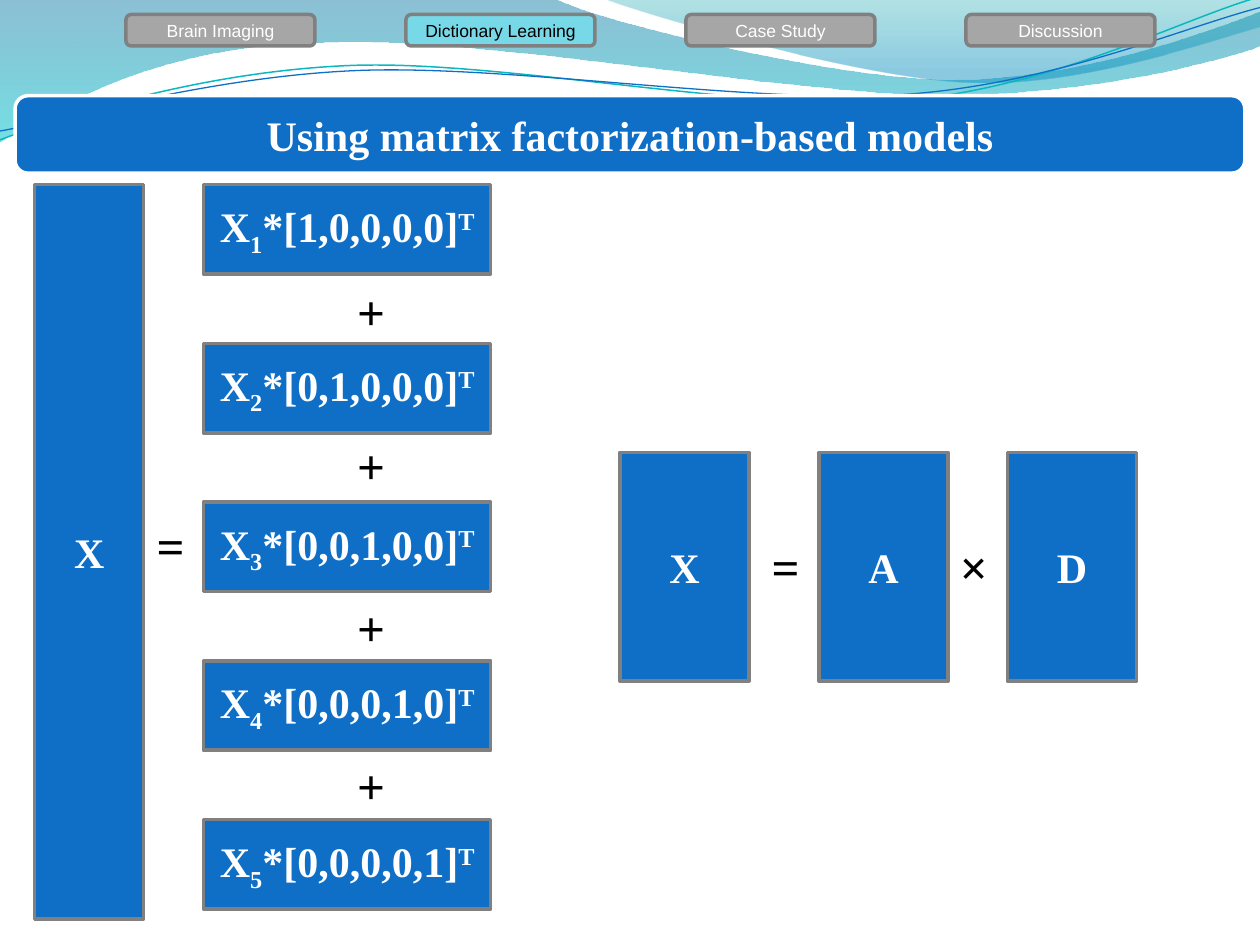
import math
from dataclasses import dataclass

from lxml import etree
from pptx import Presentation, util as u
from pptx.dml.color import RGBColor
from pptx.enum import shapes, text
from pptx.oxml.ns import qn

COLUMNS, ROWS = 100, 75
UNIT = u.Inches(10) / COLUMNS  # one square grid cell


@dataclass(frozen=True)
class Theme:
    blue: str = "0F6FC6"
    teal: str = "0AB8BF"
    active: str = "77D9E8"
    inactive: str = "A6A6A6"
    border: str = "808080"
    white: str = "FFFFFF"
    black: str = "000000"
    serif: str = "Times New Roman"
    sans: str = "Arial"
    tab_size: int = 10
    body_size: int = 24
    operator_size: int = 28
    border_width: int = 2


@dataclass(frozen=True)
class Box:
    """Left, top, width and height in grid cells."""
    left: float
    top: float
    width: float
    height: float

    def inner(self, left, top, width, height):
        return Box(self.left + left, self.top + top, width, height)

    def emu(self):
        return [round(v * UNIT) for v in (self.left, self.top, self.width, self.height)]


THEME = Theme()


def rgb(value):
    return RGBColor.from_string(value)


def add_runs(paragraph, runs, size, font, color, bold):
    """Each run is a text and its baseline shift in percent."""
    for words, baseline in runs:
        run = paragraph.add_run()
        run.text = words
        run.font.size = u.Pt(size)
        run.font.name = font
        run.font.bold = bold
        run.font.color.rgb = rgb(color)
        if baseline:
            run.font._element.set("baseline", str(baseline * 1000))


def add_block(slide, box, runs, kind=shapes.MSO_SHAPE.RECTANGLE, fill=THEME.blue,
              border=THEME.border, size=THEME.body_size, font=THEME.serif,
              color=THEME.white, bold=True, inset=0.05):
    shape = slide.shapes.add_shape(kind, *box.emu())
    shape.shadow.inherit = False
    shape.fill.solid()
    shape.fill.fore_color.rgb = rgb(fill)
    shape.line.color.rgb = rgb(border)
    shape.line.width = u.Pt(THEME.border_width)
    frame = shape.text_frame
    frame.word_wrap = True
    frame.vertical_anchor = text.MSO_ANCHOR.MIDDLE
    frame.margin_left = frame.margin_right = u.Inches(inset)
    frame.margin_top = frame.margin_bottom = u.Inches(0.05)
    paragraph = frame.paragraphs[0]
    paragraph.alignment = text.PP_ALIGN.CENTER
    add_runs(paragraph, runs, size, font, color, bold)


def add_operator(slide, center_x, center_y, symbol):
    box = Box(center_x - 1.9, center_y - 2.85, 3.8, 5.7)
    frame = slide.shapes.add_textbox(*box.emu()).text_frame
    frame.word_wrap = False
    frame.auto_size = text.MSO_AUTO_SIZE.SHAPE_TO_FIT_TEXT
    add_runs(frame.paragraphs[0], [(symbol, 0)], THEME.operator_size,
             THEME.serif, THEME.black, True)


def add_outline(slide, box, start, segments, close):
    """Segments are a corner (x, y) or a cubic curve (two controls and an end)."""
    points = [start] + [pair for s in segments for pair in zip(s[::2], s[1::2])]
    places = [(round((box.left + x) * UNIT), round((box.top + y) * UNIT)) for x, y in points]
    builder = slide.shapes.build_freeform(*places[0])
    builder.add_line_segments(places[1:], close=close)
    shape = builder.convert_to_shape()
    shape.shadow.inherit = False
    lines = iter(list(shape._element.iter(qn("a:lnTo"))))
    for segment in segments:
        first = next(lines)
        if len(segment) == 6:
            first.tag = qn("a:cubicBezTo")
            for line in (next(lines), next(lines)):
                first.append(line[0])
                line.getparent().remove(line)
    return shape


def add_wave(slide, box, start, segments, stops):
    """Fill downwards through two stops of position, colour and opacity in percent."""
    shape = add_outline(slide, box, start, segments, True)
    shape.line.fill.background()
    shape.fill.gradient()
    shape.fill.gradient_angle = 270
    for stop, (position, color, _) in zip(shape.fill.gradient_stops, stops):
        stop.position = position
        stop.color.rgb = rgb(color)
    for node, (_, _, opacity) in zip(shape._element.iter(qn("a:srgbClr")), stops):
        etree.SubElement(node, qn("a:alpha")).set("val", str(opacity * 1000))


def add_strand(slide, box, start, segments, center, color, width, tilt=-2.7):
    """Lay the curve level about its center, then tilt the whole shape."""
    cosine, sine = math.cos(math.radians(-tilt)), math.sin(math.radians(-tilt))

    def level(pairs):
        flat = []
        for x, y in zip(pairs[::2], pairs[1::2]):
            dx, dy = x - center[0], y - center[1]
            flat += [center[0] + dx * cosine - dy * sine,
                     center[1] + dx * sine + dy * cosine]
        return flat

    shape = add_outline(slide, box, level(start), [level(s) for s in segments], False)
    shape.rotation = tilt
    shape.fill.background()
    shape.line.color.rgb = rgb(color)
    shape.line.width = u.Pt(width)


def add_waves(slide, box):
    add_wave(slide, box, (0, -0.1), [
        (44, -0.1), (47.6, 1.7, 66.4, 6.3, 75.8, 6.3),
        (85.3, 6.3, 95.8, 2.6, 100, 0.9), (100.1, 3.6),
        (98.3, 4.4, 87, 7.6, 74.6, 7.5), (62.2, 7.5, 38.2, 2.8, 25.7, 3.4),
        (12.9, 3.5, 4.6, 8.3, -0.1, 11.3)], [(0, "0074A1", 45), (1, "00C6CF", 55)])
    add_wave(slide, box, (47.9, -0.1), [
        (50.9, 1.1, 68.2, 6.2, 76.9, 6.5), (85.6, 6.9, 96.1, 3.2, 100, 2.1), (100, 0)],
        [(0, "00A1A9", 30), (0.8, "008BBF", 45)])
    add_strand(slide, box, (0, 11.1), [
        (4.8, 9.3, 15.8, 5.7, 27.7, 5.2), (39.5, 4.7, 59.3, 8.9, 71.3, 8),
        (83.3, 7.1, 93.8, 1.5, 99.8, -0.2)], (49.9, 5.75), THEME.teal, 0.85)
    add_strand(slide, box, (0, 10.4), [
        (4.7, 9.6, 16.4, 6.1, 28.3, 5.6), (40.3, 5.1, 59.7, 8.3, 71.7, 7.5),
        (83.6, 6.7, 94.1, 2.1, 100, 0.6)], (49.95, 5.9), THEME.blue, 0.75)


def add_tabs(slide, box, names, active):
    tab_width = 15
    pitch = (box.width - tab_width) / (len(names) - 1)
    for name in sorted(names, key=lambda name: name != active):
        chosen = name == active
        tab = box.inner(names.index(name) * pitch, 0, tab_width, box.height)
        add_block(slide, tab, [(name, 0)],
                  kind=shapes.MSO_SHAPE.ROUNDED_RECTANGLE,
                  fill=THEME.active if chosen else THEME.inactive,
                  color=THEME.black if chosen else THEME.white,
                  size=THEME.tab_size, font=THEME.sans, bold=False, inset=0.1)


def add_title(slide, box, words):
    add_block(slide, box, [(words, 0)], kind=shapes.MSO_SHAPE.ROUNDED_RECTANGLE,
              border=THEME.white, inset=0.1)


def add_sum(slide, box, count, plus_rows):
    """X as a stack of terms, each the product with one unit vector."""
    add_block(slide, box.inner(0, 0, 8.65, box.height), [("X", 0)])
    add_operator(slide, box.left + 10.6, box.top + 28.6, "=")
    for index in range(count):
        vector = ",".join("1" if place == index else "0" for place in range(count))
        add_block(slide, box.inner(13.4, index * 12.6, 22.8, 7.1),
                  [("X", 0), (str(index + 1), -25), (f"*[{vector}]", 0), ("T", 30)])
    for row in plus_rows:
        add_operator(slide, box.left + 26.5, box.top + row, "+")


def add_product(slide, box):
    middle = box.top + box.height / 2
    for name, left, symbol, center in (("X", 0, "=", 12.95), ("A", 15.8, None, None),
                                       ("D", 30.75, "×", 27.9)):
        add_block(slide, box.inner(left, 0, 10.25, box.height), [(name, 0)])
        if symbol:
            add_operator(slide, box.left + center, middle - 0.05, symbol)


def main():
    presentation = Presentation()
    presentation.slide_width = round(COLUMNS * UNIT)
    presentation.slide_height = round(ROWS * UNIT)
    slide = presentation.slides.add_slide(presentation.slide_layouts[6])
    add_waves(slide, Box(0, 0, COLUMNS, 11.3))
    add_tabs(slide, Box(10, 1.15, 81.67, 2.5),
             ["Brain Imaging", "Dictionary Learning", "Case Study", "Discussion"],
             "Dictionary Learning")
    add_sum(slide, Box(2.75, 14.65, 36.2, 58.3), 5, [10.05, 22.3, 35.1, 47.7])
    add_product(slide, Box(49.2, 35.9, 41, 18.15))
    add_title(slide, Box(1.2, 7.6, 97.6, 6.15), "Using matrix factorization-based models")
    presentation.save("out.pptx")


if __name__ == "__main__":
    main()
